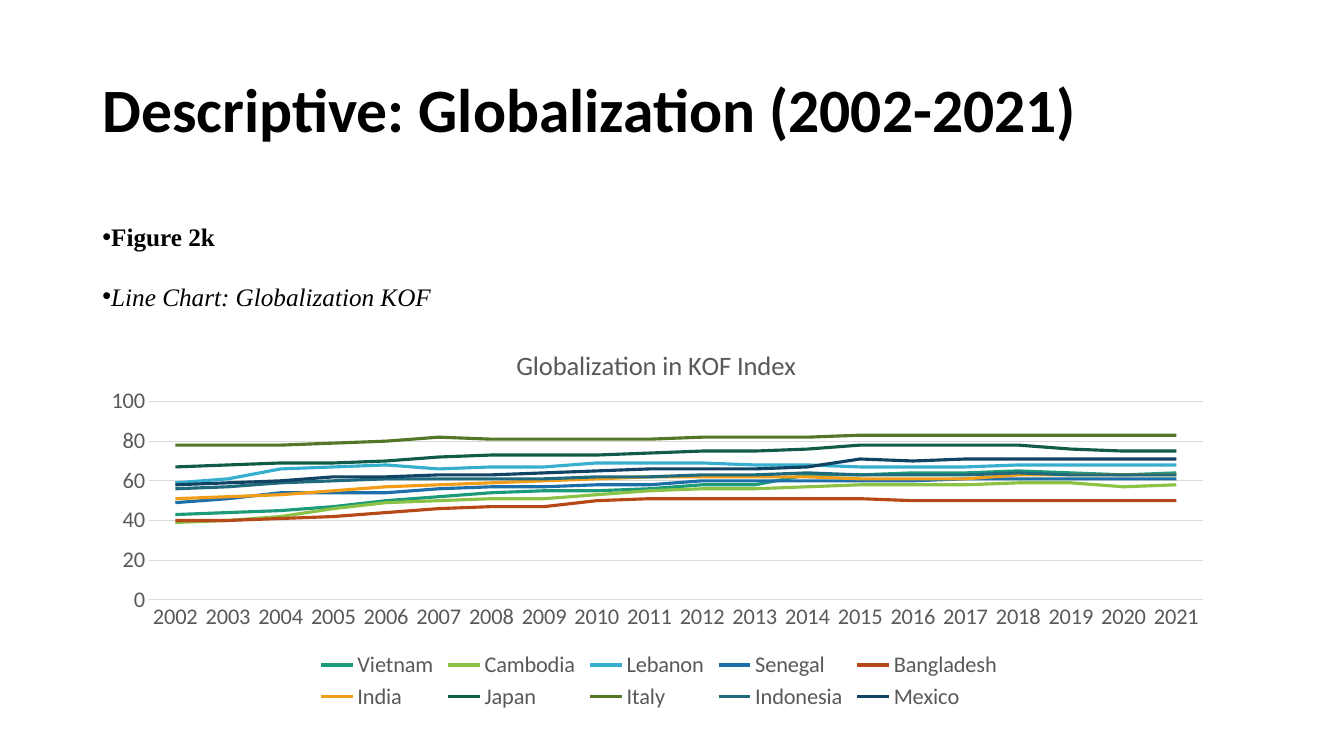
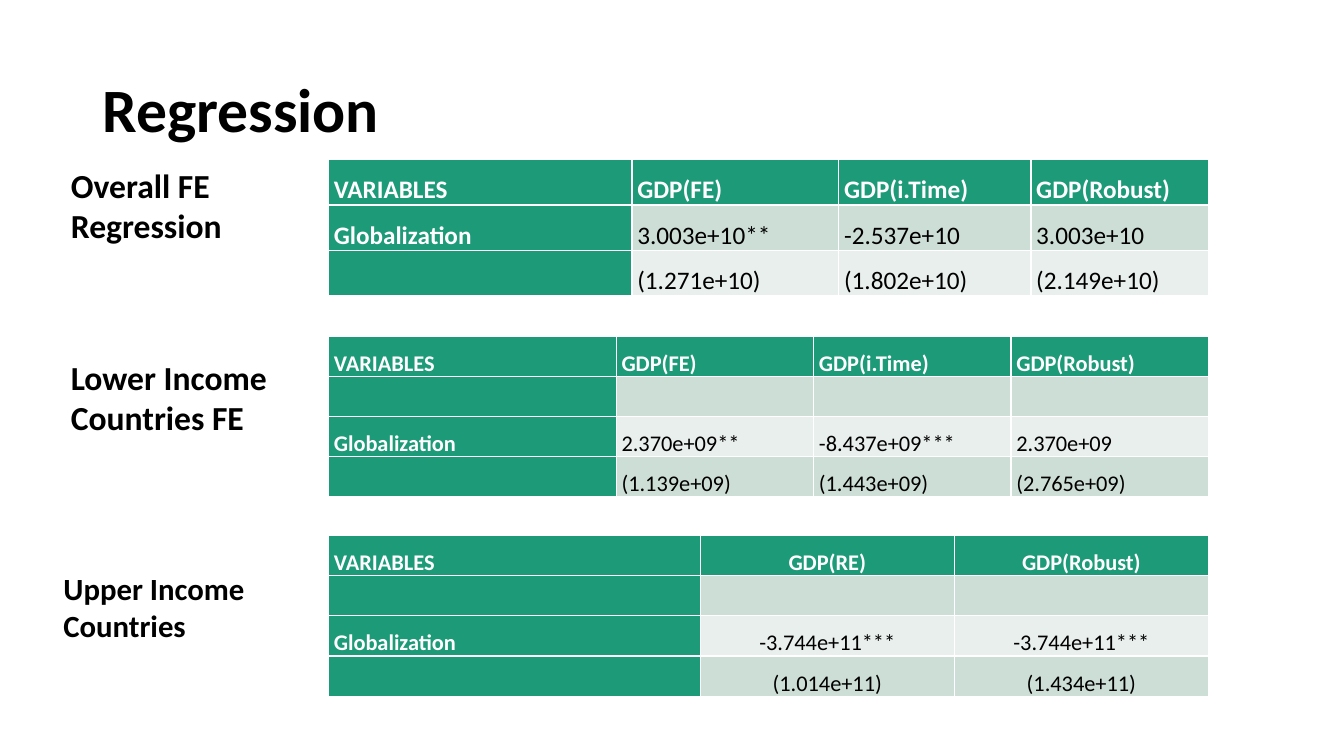
from lxml import etree
from pptx import Presentation
from pptx.chart.data import CategoryChartData
from pptx.dml.color import RGBColor
from pptx.enum.chart import XL_CHART_TYPE, XL_LEGEND_POSITION, XL_TICK_MARK
from pptx.enum.text import MSO_ANCHOR, MSO_AUTO_SIZE, PP_ALIGN
from pptx.oxml.ns import qn
from pptx.util import Pt

LINE = XL_CHART_TYPE.LINE
BOTTOM = XL_LEGEND_POSITION.BOTTOM
NONE = XL_TICK_MARK.NONE
MIDDLE = MSO_ANCHOR.MIDDLE
GROW = MSO_AUTO_SIZE.SHAPE_TO_FIT_TEXT
LEFT, CENTER, JUST = PP_ALIGN.LEFT, PP_ALIGN.CENTER, PP_ALIGN.JUSTIFY
PX = 9525  # 96 px to the inch


class Theme:
    sans, serif = "Calibri", "Times New Roman"
    black, white, grey, grid = "000000", "FFFFFF", "595959", "D9D9D9"
    green, bands = "1D9A78", ("E8EFEC", "CDDED6")
    title, body, chart, head = 44, 18, 16, 19


def style(font, size, color=Theme.black, bold=False, name=Theme.sans):
    font.name, font.size, font.bold = name, Pt(size), bold
    font.color.rgb = RGBColor.from_string(color)


def layout(parent, index, **parts):
    """Give a chart part a manual layout, in fractions of the chart."""
    for old in parent.findall(qn("c:layout")):
        parent.remove(old)
    box = etree.Element(qn("c:layout"))
    man = etree.SubElement(box, qn("c:manualLayout"))
    for tag, val in parts.items():
        etree.SubElement(man, qn("c:" + tag)).set("val", str(val))
    parent.insert(index, box)


# Slides with their titles
deck = Presentation()
deck.slide_width, deck.slide_height = 1280 * PX, 720 * PX
slides = []
for kind, text in ((1, "Descriptive: Globalization (2002-2021)"), (5, "Regression")):
    slide = deck.slides.add_slide(deck.slide_layouts[kind])
    title = slide.shapes.title
    title.left, title.top, title.width, title.height = (n * PX for n in (88, 38, 1104, 139))
    frame = title.text_frame
    frame.text, frame.vertical_anchor = text, MIDDLE
    para = frame.paragraphs[0]
    para.alignment, para.line_spacing = LEFT, 0.9
    style(para.runs[0].font, Theme.title, bold=True)
    slides.append(slide)
trend, tests = slides

# Figure caption
body = trend.placeholders[1]
body.left, body.top, body.width, body.height = (n * PX for n in (88, 192, 1104, 457))
body.text_frame.text = "Figure 2k\nLine Chart: Globalization KOF"
for i, para in enumerate(body.text_frame.paragraphs):
    para.alignment, para.line_spacing = JUST, 1.5
    para.space_before, para.space_after = Pt(2), Pt(8)
    props = para._p.get_or_add_pPr()
    props.set("marL", "0")
    props.set("indent", str(-24 * PX))
    font = para.runs[0].font
    style(font, Theme.body, bold=i == 0, name=Theme.serif)
    font.italic = i == 1

# Line chart
lands = [
    ("Vietnam", "1D9A78", [43, 44, 45, 47, 50, 52, 54, 55, 55, 56,
                           58, 58, 63, 63, 64, 64, 65, 64, 63, 64]),
    ("Cambodia", "8BC145", [39, 40, 42, 46, 49, 50, 51, 51, 53, 55,
                            56, 56, 57, 58, 58, 58, 59, 59, 57, 58]),
    ("Lebanon", "36AFCE", [59, 61, 66, 67, 68, 66, 67, 67, 69, 69,
                           69, 68, 68, 67, 67, 67, 68, 68, 68, 68]),
    ("Senegal", "1D6FA9", [49, 51, 54, 54, 54, 56, 57, 57, 58, 58,
                           60, 60, 60, 60, 60, 61, 61, 61, 61, 61]),
    ("Bangladesh", "B74919", [40, 40, 41, 42, 44, 46, 47, 47, 50, 51,
                              51, 51, 51, 51, 50, 50, 50, 50, 50, 50]),
    ("India", "F19D19", [51, 52, 53, 55, 57, 58, 59, 60, 61, 62,
                         62, 62, 62, 61, 61, 61, 63, 63, 63, 63]),
    ("Japan", "115C48", [67, 68, 69, 69, 70, 72, 73, 73, 73, 74,
                         75, 75, 76, 78, 78, 78, 78, 76, 75, 75]),
    ("Italy", "547627", [78, 78, 78, 79, 80, 82, 81, 81, 81, 81,
                         82, 82, 82, 83, 83, 83, 83, 83, 83, 83]),
    ("Indonesia", "1F6A7D", [56, 57, 59, 60, 61, 61, 61, 61, 62, 62,
                             63, 63, 64, 63, 63, 63, 64, 63, 63, 63]),
    ("Mexico", "114365", [58, 59, 60, 62, 62, 63, 63, 64, 65, 66,
                          66, 66, 67, 71, 70, 71, 71, 71, 71, 71]),
]
data = CategoryChartData()
data.categories = [str(year) for year in range(2002, 2022)]
for name, _, vals in lands:
    data.add_series(name, vals)
spot = (n * PX for n in (88, 303, 1079, 378))
chart = trend.shapes.add_chart(LINE, *spot, data).chart
style(chart.font, Theme.chart)
for line, (_, color, _) in zip(chart.plots[0].series, lands):
    line.smooth = False
    line.format.line.width = Pt(2.25)
    line.format.line.color.rgb = RGBColor.from_string(color)

# Chart axes, title and legend
years, scale = chart.category_axis, chart.value_axis
for axis in (years, scale):
    axis.major_tick_mark = axis.minor_tick_mark = NONE
    style(axis.tick_labels.font, Theme.chart, Theme.grey)
scale.minimum_scale, scale.maximum_scale, scale.major_unit = 0, 100, 20
scale.format.line.fill.background()
for rule in (years.format.line, scale.major_gridlines.format.line):
    rule.width = Pt(0.75)
    rule.color.rgb = RGBColor.from_string(Theme.grid)
chart.has_title = True
head = chart.chart_title
head.text_frame.text = "Globalization in KOF Index"
style(head.text_frame.paragraphs[0].runs[0].font, Theme.head, Theme.grey)
head.include_in_layout = False
chart.has_legend = True
chart.legend.position, chart.legend.include_in_layout = BOTTOM, False
style(chart.legend.font, Theme.chart, Theme.grey)
layout(head._element, 1, xMode="edge", yMode="edge", x=0.37, y=0.06)
layout(chart._chartSpace.chart.plotArea, 0, layoutTarget="inner",
       xMode="edge", yMode="edge", x=0.05, y=0.21, w=0.93, h=0.5)

# Regression tables: label, label box, label size, top, row height,
# text size, first and other alignment, column widths, rows
heads = ["VARIABLES", "GDP(FE)", "GDP(i.Time)", "GDP(Robust)"]
tables = [
    ("Overall FE Regression", (58, 152, 255, 87), 24, 152, 43, 18, JUST, JUST,
     (289, 197, 183, 169),
     [heads,
      ["Globalization", "3.003e+10**", "-2.537e+10", "3.003e+10"],
      ["", "(1.271e+10)", "(1.802e+10)", "(2.149e+10)"]]),
    ("Lower Income Countries FE", (58, 335, 218, 87), 24, 320, 38, 16, JUST, JUST,
     (274, 188, 188, 188),
     [heads,
      [""] * 4,
      ["Globalization", "2.370e+09**", "-8.437e+09***", "2.370e+09"],
      ["", "(1.139e+09)", "(1.443e+09)", "(2.765e+09)"]]),
    ("Upper Income Countries", (51, 538, 255, 81), 22, 510, 38, 16, LEFT, CENTER,
     (354, 242, 242),
     [["VARIABLES", "GDP(RE)", "GDP(Robust)"],
      [""] * 3,
      ["Globalization", "-3.744e+11***", "-3.744e+11***"],
      ["", "(1.014e+11)", "(1.434e+11)"]]),
]
for label, box, big, top, high, size, first, other, wides, rows in tables:
    note = tests.shapes.add_textbox(*(n * PX for n in box)).text_frame
    note.word_wrap, note.auto_size = True, GROW
    note.text = label
    style(note.paragraphs[0].runs[0].font, big, bold=True)

    spot = (n * PX for n in (313, top, sum(wides), high * len(rows)))
    grid = tests.shapes.add_table(len(rows), len(wides), *spot).table
    grid.first_col = True
    for col, wide in zip(grid.columns, wides):
        col.width = wide * PX
    for r, row in enumerate(rows):
        for c, text in enumerate(row):
            cell = grid.cell(r, c)
            key = r == 0 or c == 0
            cell.fill.solid()
            cell.fill.fore_color.rgb = RGBColor.from_string(
                Theme.green if key else Theme.bands[r % 2])
            cell.margin_left = cell.margin_right = 5 * PX
            cell.margin_top = cell.margin_bottom = 0
            if text:
                cell.text_frame.text = text
                para = cell.text_frame.paragraphs[0]
                para.alignment = other if c else first
                para.line_spacing = 1.5
                style(para.runs[0].font, size, Theme.white if key else Theme.black, key)

deck.save("out.pptx")
